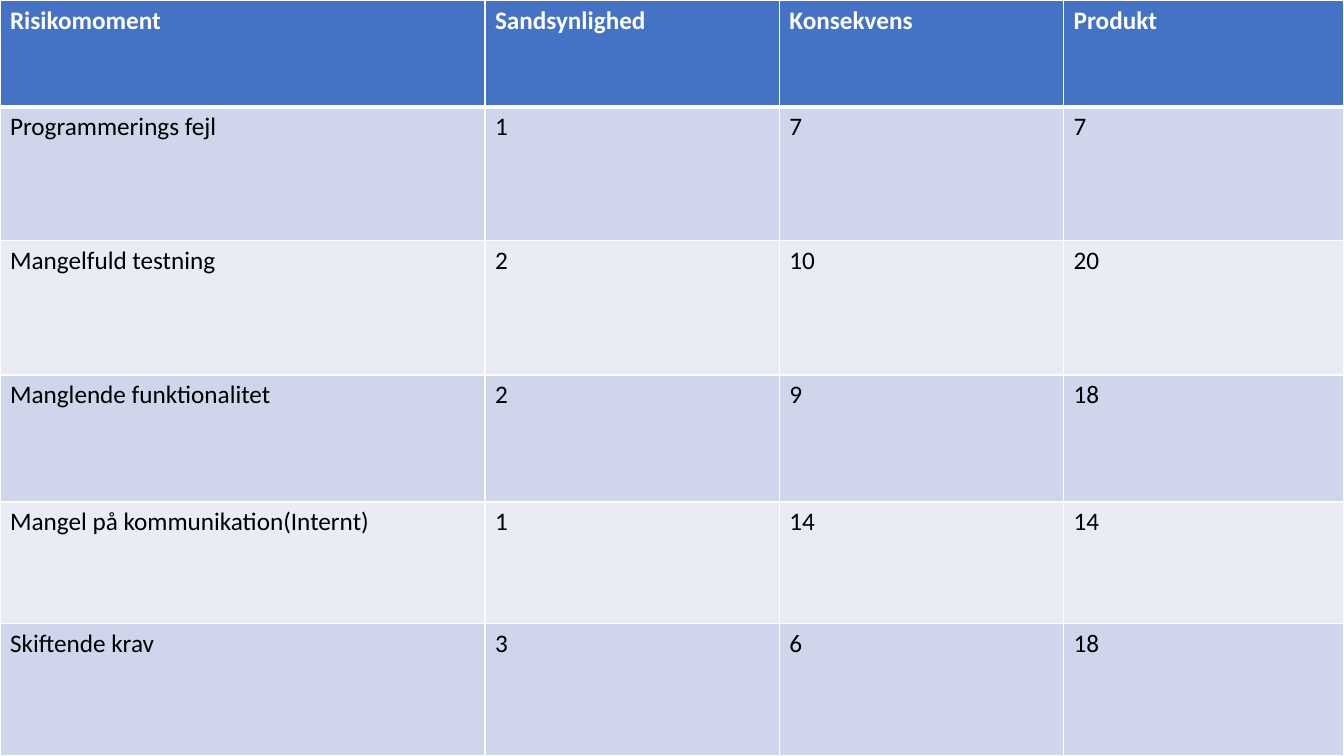
"""Build a one-slide risk table that multiplies probability by consequence."""
from lxml import etree
from pptx import Presentation
from pptx import util as u
from pptx.dml.color import RGBColor
from pptx.oxml import ns

WHITE = RGBColor(0xFF, 0xFF, 0xFF)
BLACK = RGBColor(0x00, 0x00, 0x00)
HEADER_BLUE = RGBColor(0x44, 0x72, 0xC4)
BANDS = (RGBColor(0xCF, 0xD5, 0xEA), RGBColor(0xE9, 0xEB, 0xF5))

HEADINGS = ("Risikomoment", "Sandsynlighed", "Konsekvens", "Produkt")
RISKS = (
    ("Programmerings fejl", 1, 7),
    ("Mangelfuld testning", 2, 10),
    ("Manglende funktionalitet", 2, 9),
    ("Mangel på kommunikation(Internt)", 1, 14),
    ("Skiftende krav", 3, 6),
)
COLUMN_WIDTHS = (4.81, 2.92, 2.82, 2.78)
ROW_HEIGHTS = (1.06, 1.33, 1.33, 1.26, 1.21, 1.31)


class SlideBuilder:
    font_name = "Calibri"
    font_size = u.Pt(18)
    thin = u.Pt(1)
    thick = u.Pt(3)

    def __init__(self, deck):
        self.slide = deck.slides.add_slide(deck.slide_layouts[6])

    def border(self, cell, side, width):
        properties = cell._tc.get_or_add_tcPr()
        line = etree.SubElement(properties, ns.qn(f"a:ln{side}"), w=str(width))
        fill = etree.SubElement(line, ns.qn("a:solidFill"))
        etree.SubElement(fill, ns.qn("a:srgbClr"), val=str(WHITE))

    def cell(self, cell, content, row):
        is_header = row == 0
        top = self.thick if row == 1 else self.thin
        bottom = self.thick if is_header else self.thin
        for side, width in zip("LRTB", (self.thin, self.thin, top, bottom)):
            self.border(cell, side, width)
        cell.fill.solid()
        cell.fill.fore_color.rgb = HEADER_BLUE if is_header else BANDS[(row - 1) % 2]
        span = cell.text_frame.paragraphs[0].add_run()
        span.text = str(content)
        span.font.name = self.font_name
        span.font.size = self.font_size
        span.font.bold = is_header
        span.font.color.rgb = WHITE if is_header else BLACK

    def table(self, rows, widths, heights):
        frame = self.slide.shapes.add_table(
            len(rows), len(widths), 0, 0,
            u.Inches(sum(widths)), u.Inches(sum(heights)))
        table = frame.table
        for column, width in zip(table.columns, widths):
            column.width = u.Inches(width)
        for index, (row, height) in enumerate(zip(rows, heights)):
            table.rows[index].height = u.Inches(height)
            for cell, content in zip(table.rows[index].cells, row):
                self.cell(cell, content, index)


def main():
    deck = Presentation()
    deck.slide_width = u.Inches(13.33)
    deck.slide_height = u.Inches(7.5)
    rows = [HEADINGS]
    for risk, probability, consequence in RISKS:
        rows.append((risk, probability, consequence, probability * consequence))
    SlideBuilder(deck).table(rows, COLUMN_WIDTHS, ROW_HEIGHTS)
    deck.save("out.pptx")


if __name__ == "__main__":
    main()
